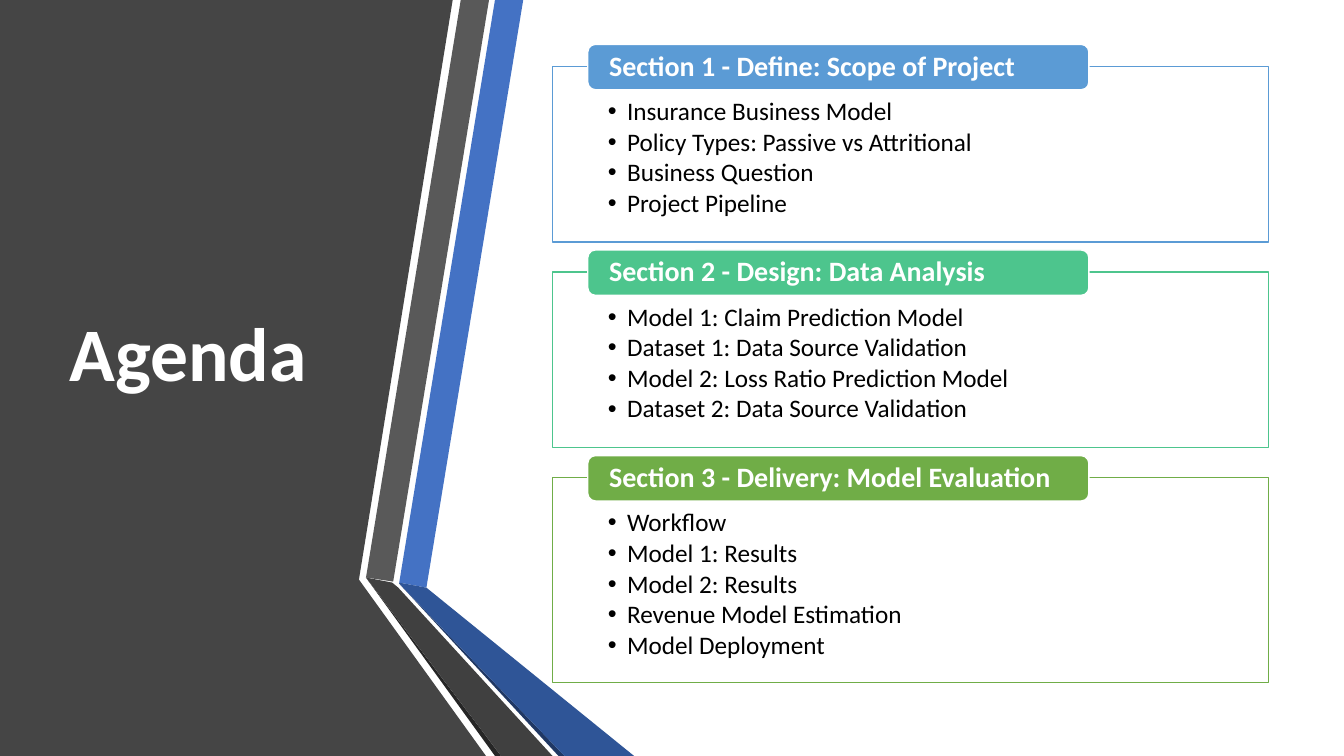
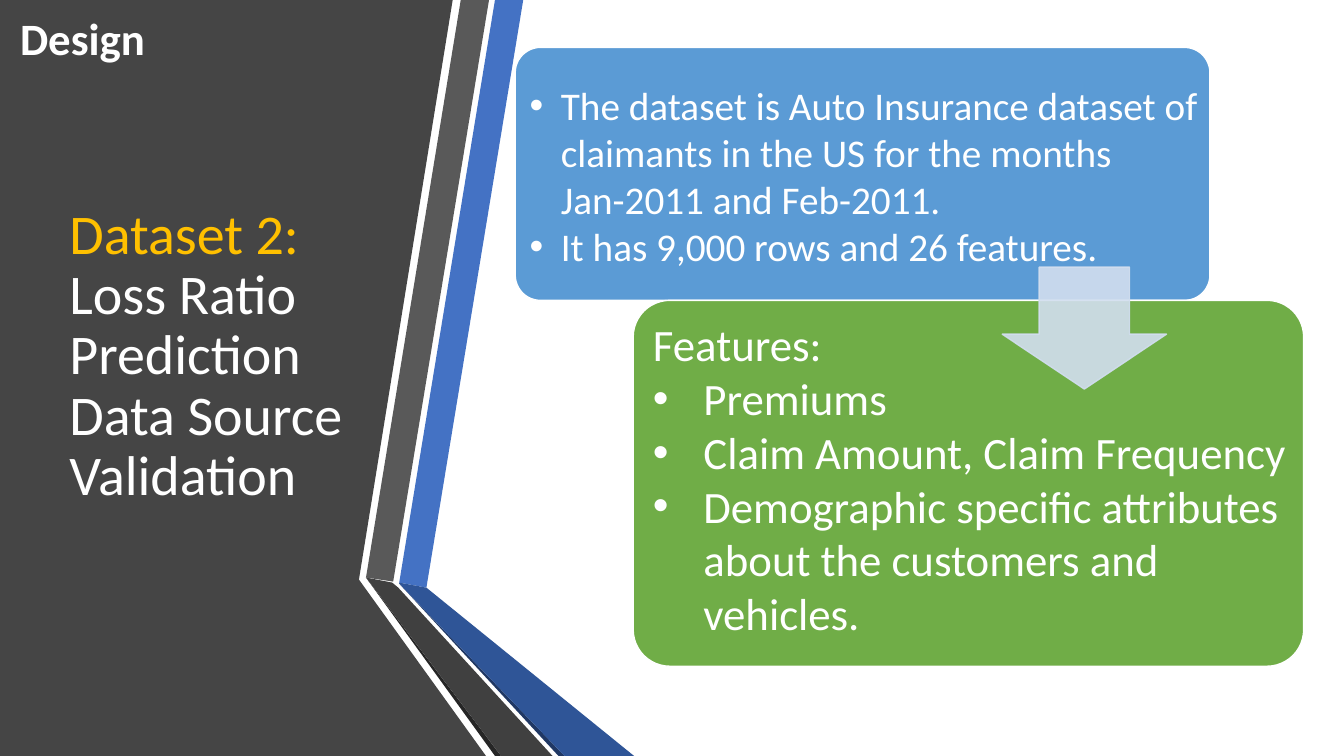
from pptx import Presentation
from pptx.dml.color import RGBColor
from pptx.enum.shapes import MSO_SHAPE
from pptx.enum.text import MSO_ANCHOR, PP_ALIGN
from pptx.oxml.ns import qn
from pptx.util import Inches, Pt
from lxml.etree import SubElement

WHITE, BLACK, GOLD = "FFFFFF", "000000", "FFC000"
BLUE, TEAL, GREEN, PALE = "5B9BD5", "4DC58D", "70AD47", "D2DEEF"
FONT = "Calibri"

BANDS = [
    ("454545", [(0, 0), (4.49, 0), (3.56, 5.75), (4.82, 7.5), (0, 7.5)]),
    ("4472C4", [(3.96, 5.78), (4.23, 5.83), (5.19, 0), (4.91, 0)]),
    ("595959", [(4.85, 0), (4.57, 0), (3.63, 5.73), (3.9, 5.77)]),
    ("262626", [(3.63, 5.73), (4.91, 7.5), (4.97, 7.5)]),
    ("203864", [(3.96, 5.79), (5.54, 7.5), (5.6, 7.5)]),
    ("2F5597", [(3.96, 5.79), (5.6, 7.5), (6.29, 7.5), (4.23, 5.83), (3.96, 5.78)]),
    ("404040", [(5.48, 7.5), (3.95, 5.83), (3.89, 5.78), (3.63, 5.73), (4.97, 7.5)]),
]

TITLE_BOX = (0.59, 0.75, 3.04, 5.58)
AGENDA = [
    ("Section 1 - Define: Scope of Project", BLUE, [
        "Insurance Business Model",
        "Policy Types: Passive vs Attritional",
        "Business Question",
        "Project Pipeline",
    ]),
    ("Section 2 - Design: Data Analysis", TEAL, [
        "Model 1: Claim Prediction Model",
        "Dataset 1: Data Source Validation",
        "Model 2: Loss Ratio Prediction Model",
        "Dataset 2: Data Source Validation",
    ]),
    ("Section 3 - Delivery: Model Evaluation", GREEN, [
        "Workflow",
        "Model 1: Results",
        "Model 2: Results",
        "Revenue Model Estimation",
        "Model Deployment",
    ]),
]
DATASET = [
    "The dataset is Auto Insurance dataset of claimants in the US for the months Jan-2011 and Feb-2011.",
    "It has 9,000 rows and 26 features.",
]
FEATURES = [
    "Premiums",
    "Claim Amount, Claim Frequency",
    "Demographic specific attributes about the customers and vehicles.",
]


def colour(hex_code):
    return RGBColor.from_string(hex_code)


def assign(target, values):
    for name, value in values.items():
        setattr(target, name, value)


def paint(shape, fill, line=None):
    shape.shadow.inherit = False
    shape.fill.solid()
    shape.fill.fore_color.rgb = colour(fill)
    if line:
        shape.line.color.rgb = colour(line)
        shape.line.width = Pt(1)
    else:
        shape.line.fill.background()


def add_box(page, kind, box, fill, line, adjustments=()):
    shape = page.shapes.add_shape(kind, *map(Inches, box))
    for position, value in enumerate(adjustments):
        shape.adjustments[position] = value
    paint(shape, fill, line)
    return shape


def frame_text(shape, insets=(0.1, 0.05, 0.1, 0.05), anchor=MSO_ANCHOR.TOP):
    frame = shape.text_frame
    sides = ("margin_left", "margin_top", "margin_right", "margin_bottom")
    assign(frame, dict(zip(sides, map(Inches, insets))))
    assign(frame, {"word_wrap": True, "vertical_anchor": anchor})
    return frame


def add_span(para, text, size, hex_code, bold=False):
    span = para.add_run()
    span.text = text
    assign(span.font, {"name": FONT, "size": Pt(size), "bold": bold})
    span.font.color.rgb = colour(hex_code)


def add_bullet(para, indent):
    properties = para._p.get_or_add_pPr()
    properties.set("marL", str(Inches(indent)))
    properties.set("indent", str(-Inches(indent)))
    SubElement(properties, qn("a:buFont")).set("typeface", "Arial")
    SubElement(properties, qn("a:buChar")).set("char", "•")


def write(frame, lines, size, hex_code, bold=False, indent=0, **layout):
    for text in lines:
        first = frame.paragraphs[0]
        para = frame.add_paragraph() if first.runs else first
        if indent:
            add_bullet(para, indent)
        assign(para, {"alignment": PP_ALIGN.LEFT, **layout})
        add_span(para, text, size, hex_code, bold)


def draw_bands(page):
    for fill, points in BANDS:
        corners = [(Inches(x), Inches(y)) for x, y in points]
        builder = page.shapes.build_freeform(*corners[0], scale=1.0)
        builder.add_line_segments(corners[1:], close=True)
        paint(builder.convert_to_shape(), fill)


def draw_title(page, box, spans, size, bold=False):
    frame = frame_text(page.shapes.add_textbox(*map(Inches, box)), anchor=MSO_ANCHOR.MIDDLE)
    para = frame.paragraphs[0]
    para.line_spacing = 0.9
    for position, (text, hex_code) in enumerate(spans):
        if position:
            para.add_line_break()
        add_span(para, text, size, hex_code, bold)


def draw_section(page, box, heading, accent, items):
    left, top, width, height = box
    panel = add_box(page, MSO_SHAPE.RECTANGLE, box, WHITE, accent)
    write(frame_text(panel, (0.55, 0.32, 0.55, 0.14)), items, 18, BLACK,
          indent=0.19, line_spacing=0.9, space_after=Pt(2.4))
    tab_box = (left + 0.35, top - 0.22, width * 0.7, 0.45)
    tab = add_box(page, MSO_SHAPE.ROUNDED_RECTANGLE, tab_box, accent, WHITE)
    write(frame_text(tab, (0.19, 0, 0.19, 0), MSO_ANCHOR.MIDDLE), [heading], 20, WHITE,
          bold=True, line_spacing=0.9)


def draw_sections(page, box, gap):
    left, top, width = box
    for heading, accent, items in AGENDA:
        height = 0.58 + 0.29 * len(items)
        draw_section(page, (left, top, width, height), heading, accent, items)
        top += height + gap


def draw_card(page, box, fill, insets):
    card = add_box(page, MSO_SHAPE.ROUNDED_RECTANGLE, box, fill, WHITE, [0.1])
    return frame_text(card, insets)


def draw_arrow(page, box):
    arrow = add_box(page, MSO_SHAPE.DOWN_ARROW, box, PALE, PALE)
    assign_shape = {0: 0.45, 1: 0.55}
    head = assign_shape[0] * box[2] / min(box[2], box[3])
    arrow.adjustments[0] = assign_shape[1]
    arrow.adjustments[1] = head * min(box[2], box[3]) / box[2]
    for tone in arrow._element.spPr.iter(qn("a:srgbClr")):
        SubElement(tone, qn("a:alpha")).set("val", "90000")


def draw_dataset(page, box):
    left, top, width, height = box
    source = draw_card(page, (left, top, 6.89, 2.51), BLUE, (0.07, 0.26, 0.02, 0))
    write(source, DATASET, 28, WHITE, indent=0.31)
    lower_box = (left + width - 6.65, top + 2.51, 6.65, height - 2.51)
    features = draw_card(page, lower_box, GREEN, (0.09, 0.06, 0, 0))
    write(features, ["Features:"], 32, WHITE)
    write(features, FEATURES, 32, WHITE, indent=0.5)
    draw_arrow(page, (left + 4.83, top + 2.18, 1.63, 1.21))


def draw_stage(page, box, text):
    frame = frame_text(page.shapes.add_textbox(*map(Inches, box)))
    write(frame, [text], 32, WHITE, bold=True)


def add_page(deck):
    page = deck.slides.add_slide(deck.slide_layouts[6])
    draw_bands(page)
    return page


def agenda_page(deck):
    page = add_page(deck)
    draw_title(page, TITLE_BOX, [("Agenda", WHITE)], 54, bold=True)
    draw_sections(page, (5.48, 0.66, 7.1), 0.3)


def dataset_page(deck):
    page = add_page(deck)
    spans = [("Dataset 2:", GOLD), ("Loss Ratio Prediction Data Source", WHITE),
             ("Validation", WHITE)]
    draw_title(page, TITLE_BOX, spans, 40)
    draw_dataset(page, (5.11, 0.47, 7.82, 6.14))
    draw_stage(page, (0.1, 0.06, 1.58, 0.64), "Design")


def main():
    deck = Presentation()
    assign(deck, {"slide_width": Inches(13.33), "slide_height": Inches(7.5)})
    agenda_page(deck)
    dataset_page(deck)
    deck.save("out.pptx")


if __name__ == "__main__":
    main()
